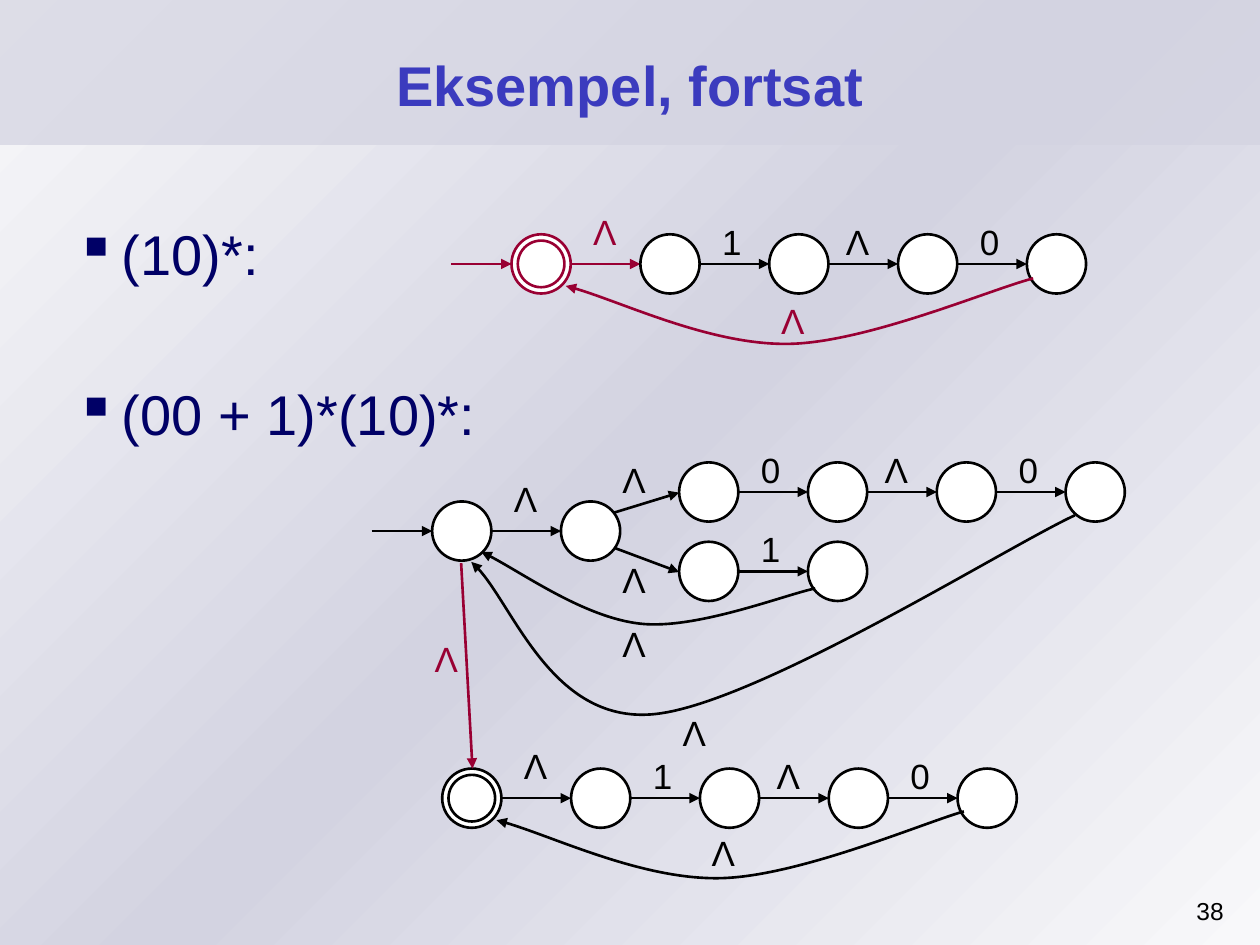
from copy import deepcopy
from dataclasses import dataclass
from typing import Any, NamedTuple

from lxml.etree import SubElement
from pptx import Presentation
from pptx.dml.color import RGBColor
from pptx.enum.shapes import MSO_CONNECTOR, MSO_SHAPE
from pptx.enum.text import MSO_ANCHOR, MSO_AUTO_SIZE, PP_ALIGN
from pptx.oxml.ns import qn
from pptx.util import Inches, Pt

BLACK, WHITE, RED = "000000", "FFFFFF", "990033"
NAVY, BLUE, PALE, GREY = "000066", "3B3BBE", "F8F8FA", "D3D3E1"
SIZE, RIM = 0.47, 0.05
STEP = 4.09 / 4


class Box(NamedTuple):
    left: float
    top: float
    width: float
    height: float


class Point(NamedTuple):
    x: float
    y: float


@dataclass
class Row:
    x: float
    y: float
    labels: str
    hue: str = BLACK
    entry: bool = False
    final: bool = False


@dataclass
class Edge:
    points: list[tuple[float, float]]
    hue: str = BLACK


@dataclass
class Label:
    x: float
    y: float
    hue: str = BLACK


ROWS = [
    Row(4.06, 1.86, "Λ1Λ0", RED, entry=True, final=True),
    Row(3.43, 3.98, "Λ", entry=True),
    Row(5.39, 3.67, "0Λ0"),
    Row(5.39, 4.3, "1"),
    Row(3.51, 6.1, "Λ1Λ0", final=True),
]
EDGES = [
    Edge([(8.2, 2.21), (7.88, 2.29), (6.88, 2.72), (6.26, 2.73),
          (5.64, 2.74), (4.86, 2.36), (4.49, 2.27)], RED),
    Edge([(8.53, 4.09), (7.97, 4.35), (5.97, 5.61), (5.17, 5.67),
          (4.38, 5.73), (4.04, 4.71), (3.74, 4.46)]),
    Edge([(6.47, 4.67), (6.23, 4.72), (5.52, 5), (5.08, 4.95),
          (4.64, 4.9), (4.08, 4.5), (3.82, 4.38)]),
    Edge([(7.65, 6.44), (7.33, 6.53), (6.33, 6.96), (5.71, 6.97),
          (5.09, 6.98), (4.31, 6.6), (3.94, 6.51)]),
    Edge([(4.87, 4.07), (5.39, 3.91)]),
    Edge([(4.88, 4.35), (5.39, 4.54)]),
    Edge([(3.66, 4.47), (3.75, 6.1)], RED),
]
LABELS = [
    Label(6.1, 2.33, RED), Label(4.84, 3.59), Label(4.84, 4.38),
    Label(4.84, 4.89), Label(5.32, 5.6), Label(5.55, 6.55),
    Label(3.35, 5.01, RED),
]


def style(item: Any, values: dict[str, Any]) -> None:
    for name, value in values.items():
        setattr(item, name, value)


def tint(fill: Any, hue: str) -> None:
    fill.solid()
    fill.fore_color.rgb = RGBColor.from_string(hue)


def place(box: Box) -> list[int]:
    return [Inches(side) for side in box]


def shape(slide: Any, kind: Any, box: Box) -> Any:
    item = slide.shapes.add_shape(kind, *place(box))
    item.shadow.inherit = False
    item.line.fill.background()
    return item


def stroke(item: Any, hue: str) -> None:
    tint(item.line.fill, hue)
    item.line.width = Pt(1.5)


def write(slide: Any, box: Box, texts: list[str], size: int, hue: str,
          frame: dict[str, Any], para: dict[str, Any],
          bold: bool = False, mark: str = "") -> None:
    body = slide.shapes.add_textbox(*place(box)).text_frame
    style(body, frame)
    for count, text in enumerate(texts):
        line = body.paragraphs[0] if count == 0 else body.add_paragraph()
        line.text = text
        if mark:
            props = line._p.get_or_add_pPr()
            props.set("marL", str(Inches(0.37)))
            props.set("indent", str(-Inches(0.37)))
            SubElement(props, qn("a:buChar"), char=mark)
        if count:
            style(line, para)
        else:
            style(line, {k: v for k, v in para.items() if k != "space_before"})
        style(line.font, {"name": "Arial", "size": Pt(size), "bold": bold})
        tint(line.font.fill, hue)


def label(slide: Any, text: str, x: float, y: float, hue: str) -> None:
    width = 0.39 if text == "Λ" else 0.35
    frame = {"word_wrap": False, "auto_size": MSO_AUTO_SIZE.SHAPE_TO_FIT_TEXT}
    write(slide, Box(x, y, width, 0.44), [text], 20, hue, frame, {})


def bend(item: Any) -> None:
    route = item._element.find(".//" + qn("a:path"))
    lines = route.findall(qn("a:lnTo"))
    for start in range(0, len(lines), 3):
        curve = SubElement(route, qn("a:cubicBezTo"))
        for line in lines[start:start + 3]:
            curve.append(line[0])
            route.remove(line)


def draw(slide: Any, edge: Edge) -> None:
    spots = [Point(Inches(x), Inches(y)) for x, y in edge.points]
    if len(spots) == 2:
        item = slide.shapes.add_connector(
            MSO_CONNECTOR.STRAIGHT, *spots[0], *spots[1])
        stroke(item, edge.hue)
        SubElement(item._element.spPr, qn("a:effectLst"))
    else:
        pen = slide.shapes.build_freeform(*spots[0], scale=1.0)
        pen.add_line_segments(spots[1:], close=False)
        item = pen.convert_to_shape()
        item.shadow.inherit = False
        item.fill.background()
        bend(item)
        stroke(item, edge.hue)
    SubElement(item.line._get_or_add_ln(), qn("a:tailEnd"), type="triangle")


def node(slide: Any, x: float, y: float, hue: str, final: bool) -> None:
    for gap in (0, RIM) if final else (0,):
        side = SIZE - 2 * gap
        ring = shape(slide, MSO_SHAPE.OVAL, Box(x + gap, y + gap, side, side))
        tint(ring.fill, WHITE)
        stroke(ring, hue)


def chain(slide: Any, row: Row) -> None:
    mid = row.y + SIZE / 2
    if row.entry:
        draw(slide, Edge([(row.x - 0.48, mid), (row.x, mid)], row.hue))
    for count in range(len(row.labels) + 1):
        x = row.x + count * STEP
        hue = BLACK if count else row.hue
        node(slide, x, row.y, hue, row.final and count == 0)
        if count < len(row.labels):
            text = row.labels[count]
            draw(slide, Edge([(x + SIZE, mid), (x + STEP, mid)], hue))
            shift = 0.51 if text == "Λ" and count else 0.55
            lift = 0.24 if text == "Λ" and not count else 0.16
            label(slide, text, x + shift, row.y - lift, hue)


def scene(slide: Any) -> None:
    back = shape(slide, MSO_SHAPE.RECTANGLE, Box(0, 0, 10, 7.5))
    back.fill.gradient()
    back.fill.gradient_angle = 135
    stops = back.fill._fill._gradFill.find(qn("a:gsLst"))
    stops.append(deepcopy(stops[0]))
    for stop, hue, spot in zip(back.fill.gradient_stops,
                               (PALE, GREY, PALE), (0, 0.5, 1)):
        stop.color.rgb = RGBColor.from_string(hue)
        stop.position = spot
    band = shape(slide, MSO_SHAPE.RECTANGLE, Box(0, 0, 10, 1.15))
    tint(band.fill, GREY)
    shade = band._element.spPr.find(".//" + qn("a:srgbClr"))
    SubElement(shade, qn("a:alpha"), val="72000")


def main() -> None:
    deck = Presentation()
    style(deck, {"slide_width": Inches(10), "slide_height": Inches(7.5)})
    slide = deck.slides.add_slide(deck.slide_layouts[6])
    scene(slide)
    write(slide, Box(0.5, 0.17, 9, 0.99), ["Eksempel, fortsat"], 32, BLUE,
          {"word_wrap": True, "vertical_anchor": MSO_ANCHOR.MIDDLE},
          {"alignment": PP_ALIGN.CENTER}, bold=True)
    write(slide, Box(0.5, 1.07, 9.23, 5.91), ["(10)*:", "(00 + 1)*(10)*:"],
          32, NAVY, {"word_wrap": True, "margin_top": Inches(0.67)},
          {"space_before": Pt(53)}, mark="▪")
    for row in ROWS:
        chain(slide, row)
    for edge in EDGES:
        draw(slide, edge)
    for item in LABELS:
        label(slide, "Λ", item.x, item.y, item.hue)
    write(slide, Box(9.02, 7.06, 0.79, 0.39), ["38"], 14, BLACK,
          {"word_wrap": True}, {"alignment": PP_ALIGN.RIGHT})
    deck.save("out.pptx")


if __name__ == "__main__":
    main()
